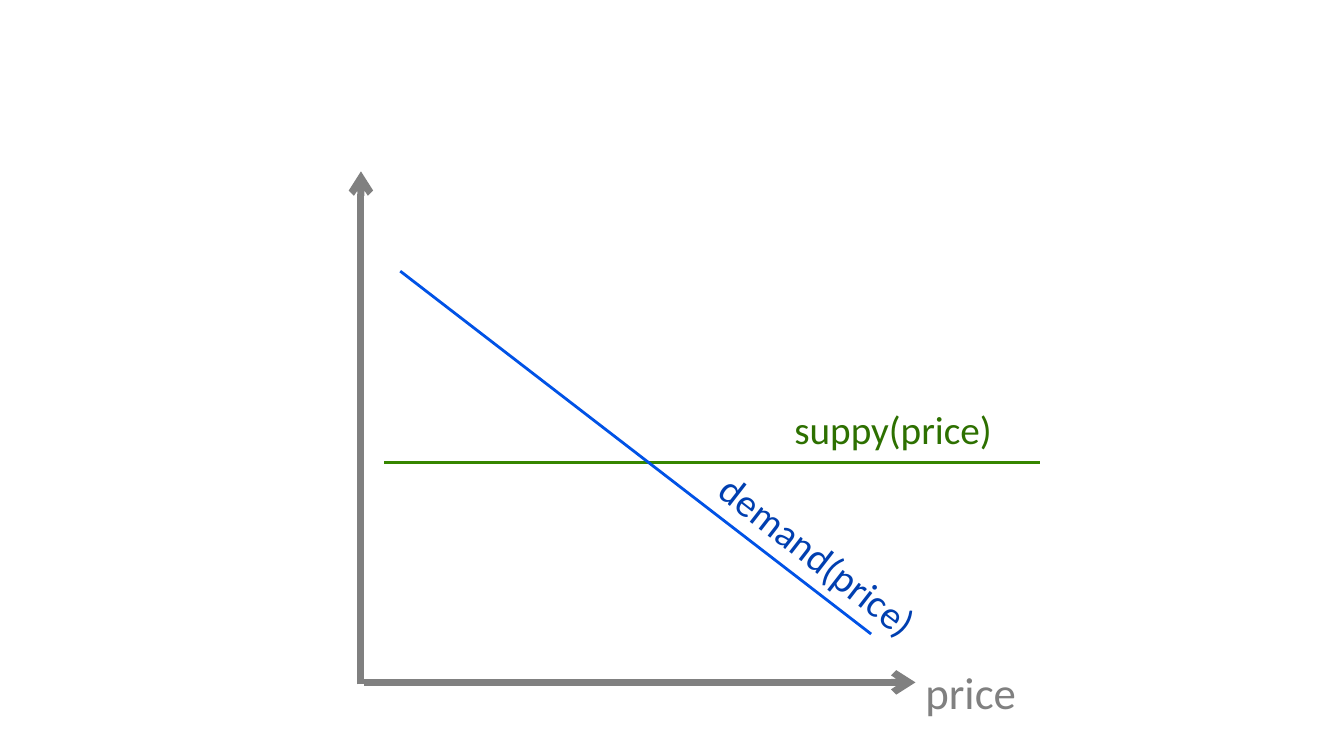
from lxml.etree import SubElement
from pptx import Presentation
from pptx.dml.color import RGBColor
from pptx.enum.shapes import MSO_CONNECTOR
from pptx.enum.text import MSO_AUTO_SIZE
from pptx.oxml.ns import qn
from pptx.util import Inches, Pt

GREY = "808080"

# start, end, colour, width in points, arrow at end
LINES = [
    ((3.58, 6.79), (3.58, 1.7), GREY, 5, True),
    ((3.61, 6.77), (9.08, 6.77), GREY, 5, True),
    ((3.81, 4.59), (10.32, 4.59), "368600", 2, False),
    ((3.97, 2.69), (8.64, 6.29), "0052E6", 2, False),
]

# text, (left, top, width, height), rotation, font size, colour
LABELS = [
    ("price", (9.08, 6.55, 1.97, 0.64), 0, 32, GREY),
    ("suppy(price)", (7.78, 3.97, 2.85, 0.57), 0, 28, "2D7000"),
    ("demand(price)", (6.81, 5.35, 2.93, 0.57), 37.8, 28, "003FB0"),
]


def rgb(value):
    return RGBColor.from_string(value)


def add_line(slide, start, end, color, width, arrow):
    line = slide.shapes.add_connector(
        MSO_CONNECTOR.STRAIGHT, *map(Inches, start + end))
    line.line.color.rgb = rgb(color)
    line.line.width = Pt(width)
    if arrow:
        SubElement(line.line._get_or_add_ln(), qn("a:tailEnd"), type="arrow")
    SubElement(line._element.spPr, qn("a:effectLst"))


def add_label(slide, text, place, rotation, size, color):
    box = slide.shapes.add_textbox(*map(Inches, place))
    box.rotation = rotation
    frame = box.text_frame
    frame.word_wrap = True
    frame.auto_size = MSO_AUTO_SIZE.SHAPE_TO_FIT_TEXT
    span = frame.paragraphs[0].add_run()
    span.text = text
    for name, value in {"name": "Calibri", "size": Pt(size)}.items():
        setattr(span.font, name, value)
    span.font.color.rgb = rgb(color)


def main():
    deck = Presentation()
    deck.slide_width, deck.slide_height = Inches(13.33), Inches(7.5)
    page = deck.slides.add_slide(deck.slide_layouts[6])
    for line in LINES:
        add_line(page, *line)
    for label in LABELS:
        add_label(page, *label)
    deck.save("out.pptx")


if __name__ == "__main__":
    main()
